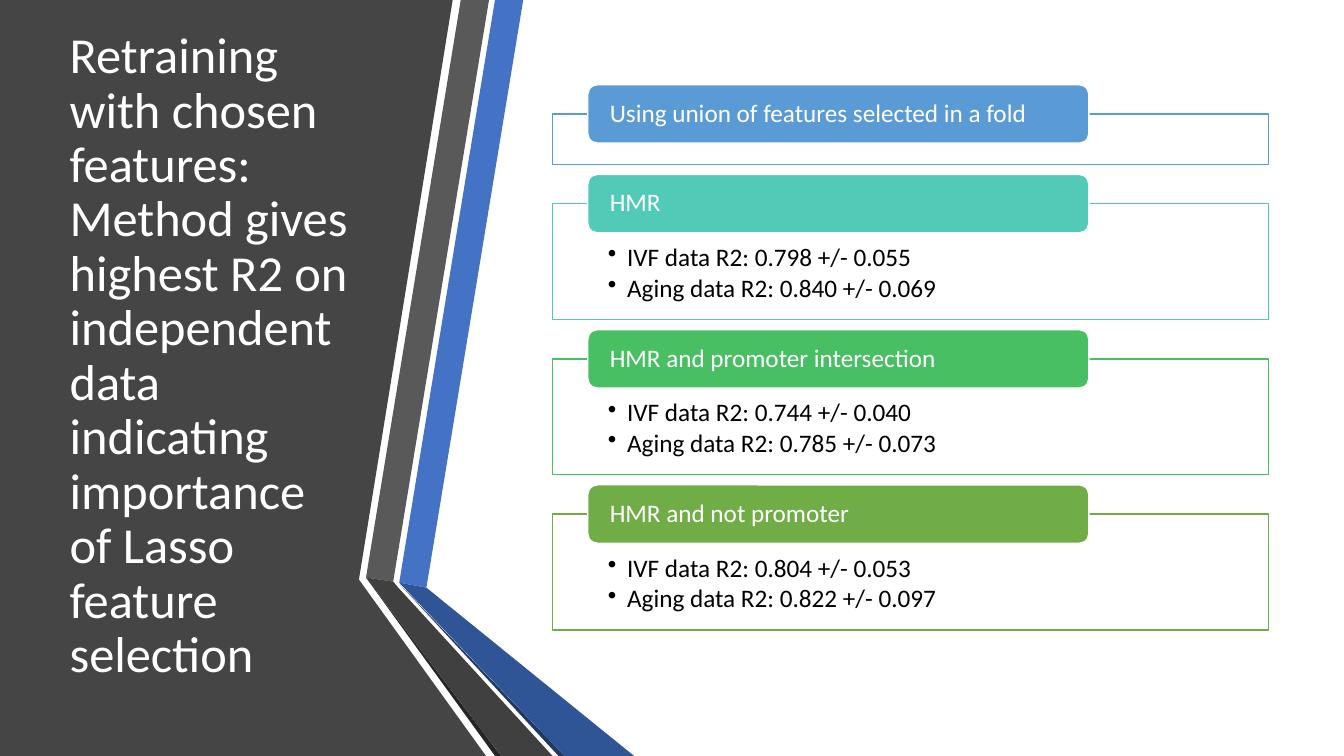
"""Build the slide on retraining with the features chosen by Lasso."""
from lxml.etree import SubElement
from pptx import Presentation
from pptx.dml.color import RGBColor
from pptx.enum.shapes import MSO_SHAPE as Preset
from pptx.enum.text import MSO_ANCHOR as Anchor, MSO_AUTO_SIZE as AutoSize, PP_ALIGN as Align
from pptx.oxml.ns import qn
from pptx.util import Pt

PX = 9144
FONT = "Calibri"
WHITE = "FFFFFF"

TITLE = ("Retraining with chosen features: Method gives highest R2 on independent data "
         "indicating importance of Lasso feature selection")

SECTIONS = [
    ("Using union of features selected in a fold", "5B9BD5", []),
    ("HMR", "52CAB8",
     ["IVF data R2: 0.798 +/- 0.055", "Aging data R2: 0.840 +/- 0.069"]),
    ("HMR and promoter intersection", "49BF64",
     ["IVF data R2: 0.744 +/- 0.040", "Aging data R2: 0.785 +/- 0.073"]),
    ("HMR and not promoter", "70AD47",
     ["IVF data R2: 0.804 +/- 0.053", "Aging data R2: 0.822 +/- 0.097"]),
]

RIBBONS = [
    ("454545", [(0, 0), (449, 0), (356, 575), (482, 750), (0, 750)]),
    ("4472C4", [(396, 578), (423, 583), (519, 0), (491, 0)]),
    ("595959", [(485, 0), (457, 0), (363, 573), (390, 577)]),
    ("262626", [(363, 573), (491, 750), (497, 750)]),
    ("203864", [(396, 579), (554, 750), (560, 750)]),
    ("2F5597", [(396, 578), (560, 750), (629, 750), (423, 583)]),
    ("404040", [(363, 573), (497, 750), (548, 750), (395, 583), (390, 577)]),
]

BOX_LEFT, BOX_TOP, BOX_WIDTH, BOX_GAP = 548, 113, 710, 39
EMPTY_HEIGHT, FULL_HEIGHT = 50, 115
TAB_LEFT, TAB_RISE, TAB_WIDTH, TAB_HEIGHT = 583, 29, 497, 58


def color(value):
    return RGBColor.from_string(value)


def paint(shape, fill, line=None):
    shape.shadow.inherit = False
    shape.fill.solid()
    shape.fill.fore_color.rgb = color(fill)
    if line:
        shape.line.color.rgb = color(line)
        shape.line.width = Pt(1)
    else:
        shape.line.fill.background()


def set_frame(shape, anchor, left, top, right, bottom):
    frame = shape.text_frame
    frame.word_wrap = True
    frame.auto_size = AutoSize.NONE
    frame.vertical_anchor = anchor
    frame.margin_left, frame.margin_top = left * PX, top * PX
    frame.margin_right, frame.margin_bottom = right * PX, bottom * PX
    return frame


def write(paragraph, text, size, text_color):
    paragraph.alignment = Align.LEFT
    paragraph.line_spacing = 0.9
    run = paragraph.add_run()
    run.text = text
    run.font.size = Pt(size)
    run.font.name = FONT
    run.font.color.rgb = color(text_color)


def add_bullet(paragraph):
    paragraph.space_after = Pt(2.5)
    properties = paragraph._p.get_or_add_pPr()
    properties.set("marL", str(19 * PX))
    properties.set("indent", str(-19 * PX))
    SubElement(properties, qn("a:buChar")).set("char", "•")


def add_ribbon(slide, fill, points):
    builder = slide.shapes.build_freeform(*points[0], scale=PX)
    builder.add_line_segments(points[1:], close=True)
    paint(builder.convert_to_shape(), fill)


def add_title(slide):
    title = slide.shapes.title
    slide.shapes._spTree.append(title._element)
    title.left, title.top, title.width, title.height = (n * PX for n in (59, 75, 304, 558))
    frame = set_frame(title, Anchor.MIDDLE, 10, 5, 10, 5)
    write(frame.paragraphs[0], TITLE, 36, WHITE)


def add_preset(slide, preset, *bounds):
    return slide.shapes.add_shape(preset, *(n * PX for n in bounds))


def add_section(slide, top, height, heading, accent, results):
    box = add_preset(slide, Preset.RECTANGLE, BOX_LEFT, top, BOX_WIDTH, height)
    paint(box, WHITE, accent)
    frame = set_frame(box, Anchor.TOP, 55, 41, 55, 0)
    for index, result in enumerate(results):
        paragraph = frame.add_paragraph() if index else frame.paragraphs[0]
        write(paragraph, result, 18, "000000")
        add_bullet(paragraph)

    tab = add_preset(slide, Preset.ROUNDED_RECTANGLE,
                     TAB_LEFT, top - TAB_RISE, TAB_WIDTH, TAB_HEIGHT)
    paint(tab, accent, WHITE)
    frame = set_frame(tab, Anchor.MIDDLE, 19, 0, 19, 0)
    write(frame.paragraphs[0], heading, 18, WHITE)


def main():
    presentation = Presentation()
    presentation.slide_width, presentation.slide_height = 1333 * PX, 750 * PX
    slide = presentation.slides.add_slide(presentation.slide_layouts[5])
    for fill, points in RIBBONS:
        add_ribbon(slide, fill, points)
    add_title(slide)
    top = BOX_TOP
    for heading, accent, results in SECTIONS:
        height = FULL_HEIGHT if results else EMPTY_HEIGHT
        add_section(slide, top, height, heading, accent, results)
        top += height + BOX_GAP
    presentation.save("out.pptx")


if __name__ == "__main__":
    main()
